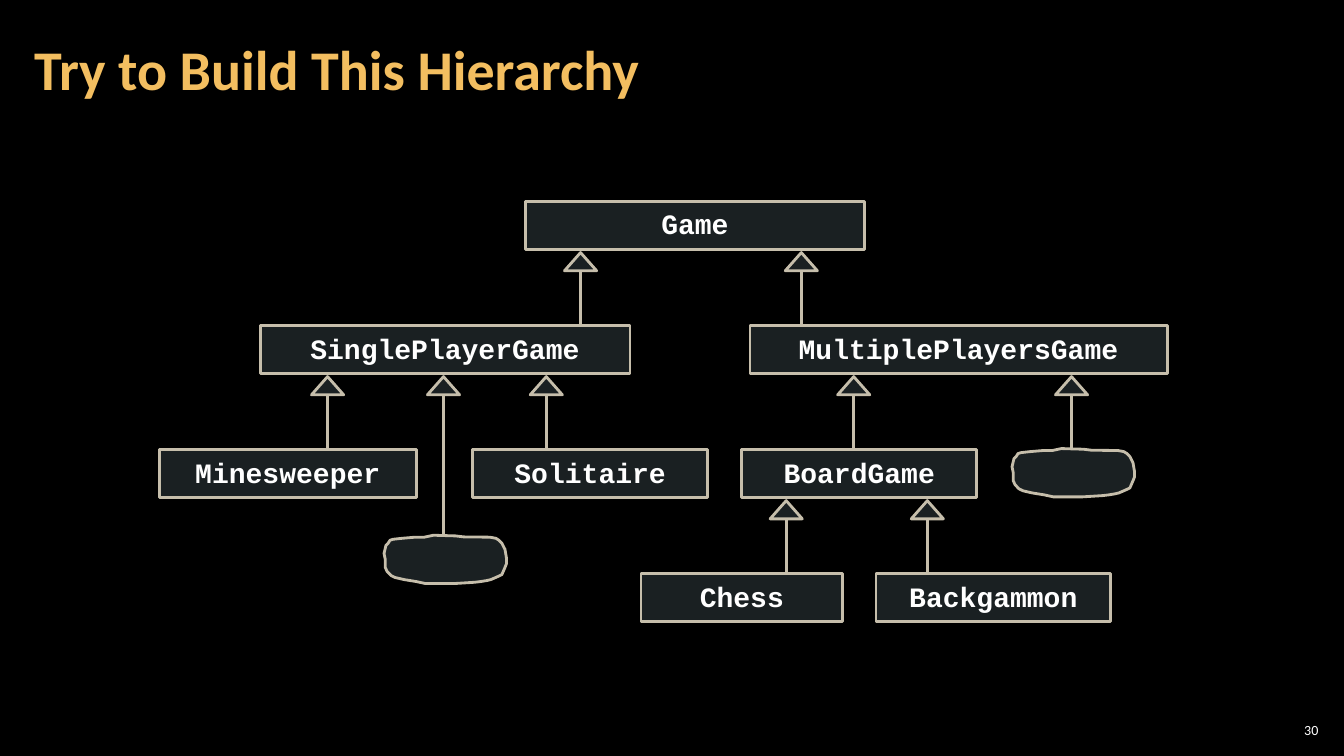
"""Build the game class hierarchy slide."""
from dataclasses import dataclass

from lxml.etree import SubElement
from pptx import Presentation
from pptx.dml.color import RGBColor
from pptx.enum.shapes import MSO_CONNECTOR as Connector, MSO_SHAPE as Preset
from pptx.enum.text import MSO_ANCHOR as Anchor, MSO_AUTO_SIZE as AutoSize, PP_ALIGN as Align
from pptx.oxml.ns import qn
from pptx.shapes.autoshape import Shape
from pptx.shapes.shapetree import SlideShapes
from pptx.text.text import TextFrame
from pptx.util import Pt

COLORS = {
    "background": "000000",
    "title": "F3BE60",
    "fill": "B5DBE5",
    "outline": "C6BEAB",
    "text": "FFFFFF",
}
FILL_ALPHA = "15000"
OUTLINE_WIDTH = 2
FIRST_ROW, ROW_STEP, BOX_HEIGHT = 144, 88.6, 34
HEAD_WIDTH, HEAD_HEIGHT, HEAD_GAP = 23, 13, 2.4

CLOUD_OUTLINE = [
    (0, 13), (1.4, 7.2), (2.9, 5.8), (4.3, 3.6), (6.5, 2.9), (13, 2.2),
    (22.3, 1.4), (28.8, 1.4), (35.3, 0), (51.1, 0.5), (56.9, 1.2), (75.6, 1.4),
    (79.9, 2.2), (82.1, 3.6), (84.2, 5.8), (86.4, 10.1), (87.5, 16.6),
    (87.5, 20.2), (86.4, 23), (84.2, 28.1), (81.4, 29.5), (76.3, 31.7),
    (73.4, 32.4), (69.1, 33.1), (64.8, 33.6), (50.4, 34.5), (29.5, 34.5),
    (23, 33.1), (14.4, 31.7), (7.9, 30.2), (5, 28.8), (2.2, 25.9),
    (0.9, 23), (0.9, 17.3),
]


@dataclass
class GameClass:
    """A named class, placed on a level of the hierarchy."""

    name: str
    level: int
    left: float
    width: float


@dataclass
class Inheritance:
    """An arrow up to a parent level, from the child's top edge."""

    x: float
    parent_level: int
    child_top: float | None = None


@dataclass
class Cloud:
    """An unnamed class, left for the reader to fill in."""

    left: float
    top: float


GAME_CLASSES = [
    GameClass("Game", 0, 375.1, 242.6),
    GameClass("SinglePlayerGame", 1, 185.8, 264.2),
    GameClass("MultiplePlayersGame", 1, 535.7, 298.1),
    GameClass("Minesweeper", 2, 113.8, 183.6),
    GameClass("Solitaire", 2, 337.7, 167.8),
    GameClass("BoardGame", 2, 529.9, 167.8),
    GameClass("Chess", 3, 457.9, 144),
    GameClass("Backgammon", 3, 625.7, 167.8),
]
CLOUDS = [Cloud(722.9, 320.4), Cloud(274.3, 382.3)]
INHERITANCES = [
    Inheritance(414.7, 0),
    Inheritance(572.4, 0),
    Inheritance(234, 1),
    Inheritance(316.8, 1, CLOUDS[1].top),
    Inheritance(390.2, 1),
    Inheritance(609.8, 1),
    Inheritance(765.4, 1),
    Inheritance(561.6, 2),
    Inheritance(662.4, 2),
]


def rgb(role: str) -> RGBColor:
    """Return the colour that belongs to a role."""
    return RGBColor.from_string(COLORS[role])


def row_top(level: int) -> float:
    """Return the top of a level in points."""
    return FIRST_ROW + level * ROW_STEP


def style_shape(shape: Shape) -> None:
    """Give a shape the translucent fill and the light outline."""
    shape.shadow.inherit = False
    shape.fill.solid()
    shape.fill.fore_color.rgb = rgb("fill")
    fill_color = shape.element.spPr.find(qn("a:solidFill"))[0]
    SubElement(fill_color, qn("a:alpha"), val=FILL_ALPHA)
    shape.line.color.rgb = rgb("outline")
    shape.line.width = Pt(OUTLINE_WIDTH)


def write_text(frame: TextFrame, text: str, role: str, font_name: str,
               size: float, align: Align, bold: bool = False) -> None:
    """Write one formatted, vertically centred paragraph."""
    frame.text = text
    frame.word_wrap = True
    frame.auto_size = AutoSize.NONE
    frame.vertical_anchor = Anchor.MIDDLE
    paragraph = frame.paragraphs[0]
    paragraph.alignment = align
    font = paragraph.runs[0].font
    font.name, font.size, font.bold = font_name, Pt(size), bold
    font.color.rgb = rgb(role)


def draw_class(shapes: SlideShapes, game_class: GameClass) -> None:
    """Draw a class box with its name."""
    box = shapes.add_shape(Preset.RECTANGLE, Pt(game_class.left), Pt(row_top(game_class.level)),
                           Pt(game_class.width), Pt(BOX_HEIGHT))
    style_shape(box)
    write_text(box.text_frame, game_class.name, "text", "Courier New", 20, Align.CENTER, True)
    box.text_frame.paragraphs[0].line_spacing = 0.95


def draw_inheritance(shapes: SlideShapes, inheritance: Inheritance) -> None:
    """Draw a hollow arrowhead below the parent and its stem."""
    tip = row_top(inheritance.parent_level) + BOX_HEIGHT + HEAD_GAP
    head = shapes.add_shape(Preset.ISOSCELES_TRIANGLE, Pt(inheritance.x - HEAD_WIDTH / 2), Pt(tip),
                            Pt(HEAD_WIDTH), Pt(HEAD_HEIGHT))
    style_shape(head)
    child_top = inheritance.child_top or row_top(inheritance.parent_level + 1)
    stem = shapes.add_connector(Connector.STRAIGHT, Pt(inheritance.x), Pt(tip + HEAD_HEIGHT),
                                Pt(inheritance.x), Pt(child_top))
    stem.line.color.rgb = rgb("outline")
    stem.line.width = Pt(OUTLINE_WIDTH)
    SubElement(stem.element.spPr, qn("a:effectLst"))


def draw_cloud(shapes: SlideShapes, cloud: Cloud) -> None:
    """Draw the wavy outline of an unnamed class."""
    start, *rest = [(Pt(cloud.left + x), Pt(cloud.top + y)) for x, y in CLOUD_OUTLINE]
    builder = shapes.build_freeform(*start)
    builder.add_line_segments(rest, close=True)
    style_shape(builder.convert_to_shape())


def main() -> None:
    """Build and save the slide."""
    deck = Presentation()
    deck.slide_width, deck.slide_height = Pt(960), Pt(540)
    slide = deck.slides.add_slide(deck.slide_layouts[5])
    slide.background.fill.solid()
    slide.background.fill.fore_color.rgb = rgb("background")
    shapes = slide.shapes

    title = shapes.title
    title.left, title.top, title.width, title.height = Pt(15.8), Pt(5), Pt(753.8), Pt(87.1)
    write_text(title.text_frame, "Try to Build This Hierarchy", "title", "Calibri", 40,
               Align.LEFT, True)
    title.text_frame.margin_left = title.text_frame.margin_right = Pt(8.64)

    for game_class in GAME_CLASSES:
        draw_class(shapes, game_class)
    for inheritance in INHERITANCES:
        draw_inheritance(shapes, inheritance)
    for cloud in CLOUDS:
        draw_cloud(shapes, cloud)

    page_number = shapes.add_textbox(Pt(910.8), Pt(514.1), Pt(33.8), Pt(15.1)).text_frame
    write_text(page_number, "30", "text", "Calibri", 10, Align.RIGHT)
    page_number.margin_left = page_number.margin_right = Pt(2.9)
    page_number.margin_top = page_number.margin_bottom = Pt(2.9)

    deck.save("out.pptx")


if __name__ == "__main__":
    main()
